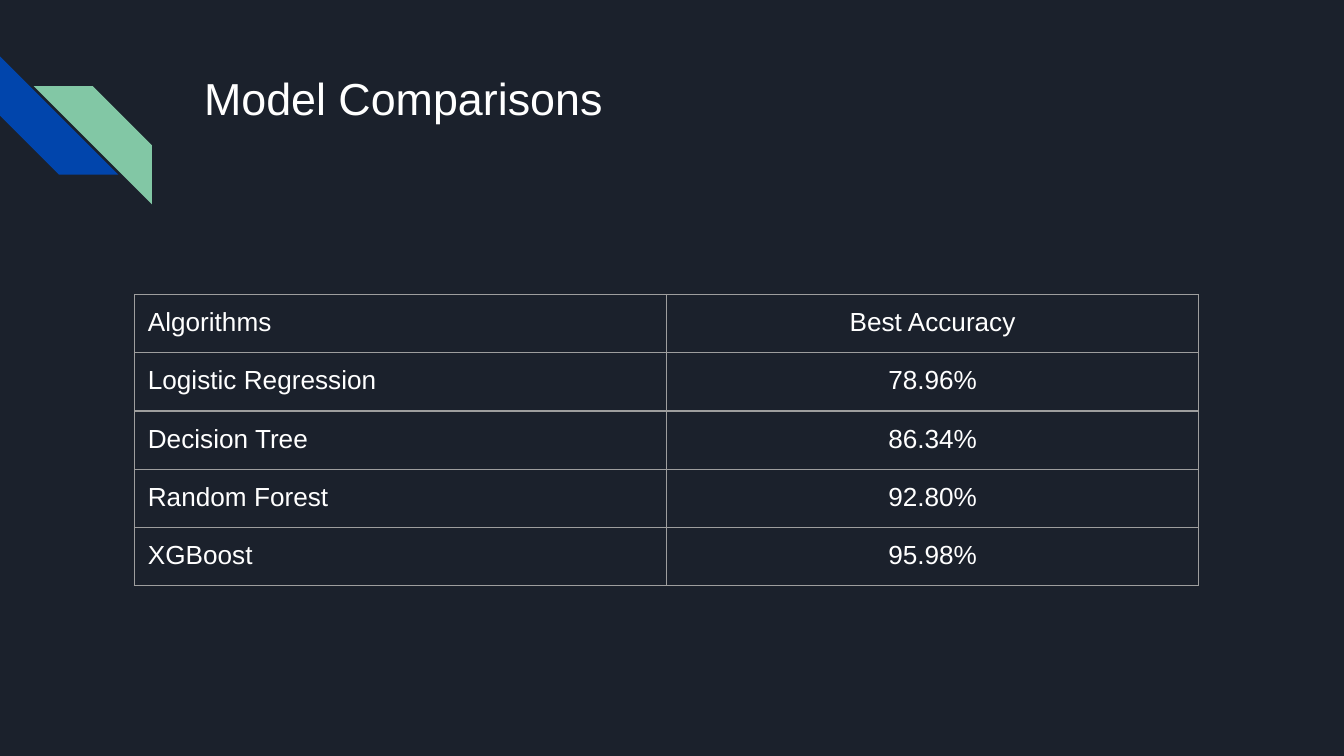
from lxml.etree import SubElement
from pptx import Presentation
from pptx.dml.color import RGBColor
from pptx.enum.shapes import MSO_SHAPE as Shape
from pptx.enum.text import MSO_ANCHOR as Anchor, PP_ALIGN as Align
from pptx.oxml.ns import qn
from pptx.util import Inches, Pt

BACKGROUND, WHITE, BLUE, GREEN, GREY = "1B212C", "FFFFFF", "0145AC", "82C7A5", "9E9E9E"
MARGINS = {f"margin_{side}": Inches(0.1) for side in ("left", "right", "top", "bottom")}
ROWS = [
    ("Algorithms", "Best Accuracy"),
    ("Logistic Regression", "78.96%"),
    ("Decision Tree", "86.34%"),
    ("Random Forest", "92.80%"),
    ("XGBoost", "95.98%"),
]


def set_values(target, values):
    for name, value in values.items():
        setattr(target, name, value)


def set_fill(fill, color):
    fill.solid()
    fill.fore_color.rgb = RGBColor.from_string(color)


def write_text(paragraph, text, size, align=Align.LEFT):
    paragraph.alignment = align
    run = paragraph.add_run()
    run.text = text
    set_values(run.font, {"name": "Arial", "size": Pt(size)})
    run.font.color.rgb = RGBColor.from_string(WHITE)


def add_stripes(slide, left, top, size):
    stripes = [(0, 0, 270, BLUE), (0.25, 0.22, 90, GREEN)]
    for across, down, rotation, color in stripes:
        stripe = slide.shapes.add_shape(
            Shape.DIAGONAL_STRIPE,
            Inches(left + across), Inches(top + down), Inches(size), Inches(size),
        )
        stripe.rotation = rotation
        stripe.shadow.inherit = False
        set_fill(stripe.fill, color)
        stripe.line.fill.background()


def add_title(slide, left, top, width, height):
    title = slide.shapes.add_textbox(Inches(left), Inches(top), Inches(width), Inches(height))
    frame = title.text_frame
    set_values(frame, {**MARGINS, "word_wrap": True, "vertical_anchor": Anchor.TOP})
    write_text(frame.paragraphs[0], "Model Comparisons", 24)


def set_borders(cell):
    properties = cell._tc.get_or_add_tcPr()
    for position, side in enumerate(("lnL", "lnR", "lnT", "lnB")):
        line = properties.makeelement(qn(f"a:{side}"), {"w": str(Pt(0.75))})
        SubElement(SubElement(line, qn("a:solidFill")), qn("a:srgbClr"), val=GREY)
        properties.insert(position, line)


def add_accuracy_table(slide, left, top, width, height):
    table = slide.shapes.add_table(
        len(ROWS), len(ROWS[0]), Inches(left), Inches(top), Inches(width), Inches(height)
    ).table
    set_values(table, {"first_row": False, "horz_banding": False})
    for row_index, row in enumerate(ROWS):
        table.rows[row_index].height = Inches(0.37 if row_index else 0)
        for column_index, (text, align) in enumerate(zip(row, (Align.LEFT, Align.CENTER))):
            cell = table.cell(row_index, column_index)
            set_values(cell, MARGINS)
            cell.fill.background()
            set_borders(cell)
            write_text(cell.text_frame.paragraphs[0], text, 14, align)


def main():
    presentation = Presentation()
    width = Inches(10)
    set_values(presentation, {"slide_width": width, "slide_height": width * 9 // 16})
    slide = presentation.slides.add_slide(presentation.slide_layouts[6])
    set_fill(slide.background.fill, BACKGROUND)
    add_stripes(slide, 0, 0.42, 0.88)
    add_title(slide, 1.42, 0.43, 7.7, 1)
    add_accuracy_table(slide, 1, 2.19, 7.92, 2.17)
    presentation.save("out.pptx")


if __name__ == "__main__":
    main()
